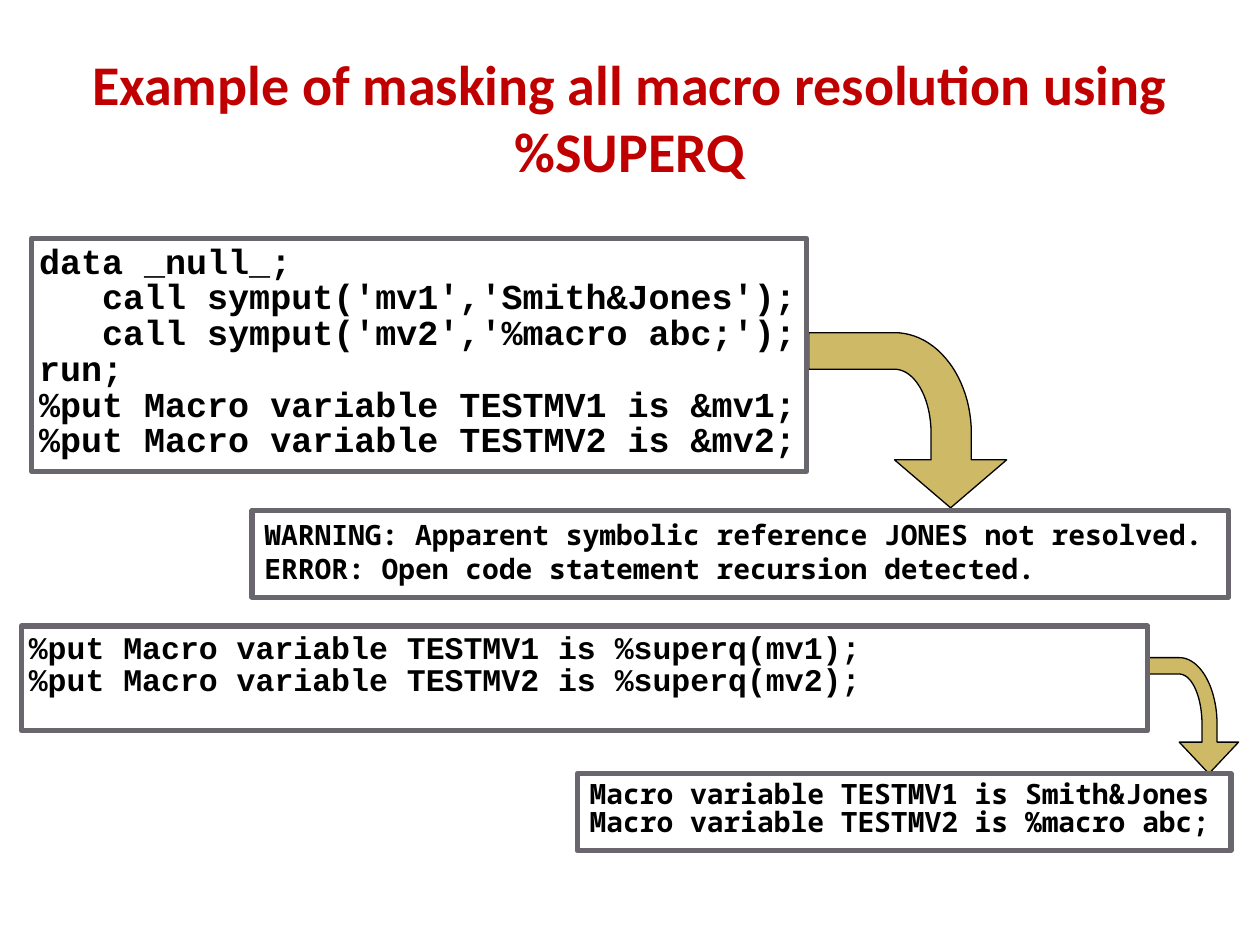
"""Build a slide on masking macro resolution with %SUPERQ."""
from dataclasses import dataclass
from math import cos, pi, sin

from pptx import Presentation
from pptx.dml.color import RGBColor
from pptx.enum.shapes import MSO_SHAPE
from pptx.enum.text import MSO_ANCHOR, PP_ALIGN
from pptx.util import Pt


@dataclass(frozen=True)
class Theme:
    title: RGBColor = RGBColor(0xC0, 0x00, 0x00)
    ink: RGBColor = RGBColor(0x00, 0x00, 0x00)
    paper: RGBColor = RGBColor(0xFF, 0xFF, 0xFF)
    border: RGBColor = RGBColor(0x69, 0x67, 0x6D)
    arrow: RGBColor = RGBColor(0xCE, 0xB9, 0x66)
    title_font: str = "Calibri"
    code_font: str = "Courier New"
    log_font: str = "Noto Sans Mono"
    title_size: int = 32
    code_size: int = 20
    short_code_size: int = 18
    log_size: int = 16


def quarter_arc(center_x, center_y, radius_x, radius_y, steps=24):
    angles = [pi / 2 * step / steps for step in range(steps + 1)]
    return [(center_x + radius_x * cos(angle), center_y - radius_y * sin(angle))
            for angle in angles]


theme = Theme()
deck = Presentation()
deck.slide_width, deck.slide_height = Pt(720), Pt(540)
slide = deck.slides.add_slide(deck.slide_layouts[5])

title = slide.shapes.title
title.left, title.top, title.width, title.height = Pt(36), Pt(21.6), Pt(648), Pt(90)
title.text_frame.vertical_anchor = MSO_ANCHOR.MIDDLE
title.text_frame.text = "Example of masking all macro resolution using %SUPERQ"
heading = title.text_frame.paragraphs[0]
heading.alignment = PP_ALIGN.CENTER
heading.font.name = theme.title_font
heading.font.size = Pt(theme.title_size)
heading.font.bold = True
heading.font.color.rgb = theme.title

arrows = [
    dict(tail=462.2, bend_x=511.2, inner=532.1, outer=555.1, right=575.3,
         top=190.1, under=211, bend_y=247.7, head=262.8, tip=290.2),
    dict(tail=648, bend_x=673.9, inner=686.9, outer=695.5, right=707.8,
         top=375.8, under=385.2, bend_y=414, head=424.1, tip=442.1),
]
for arrow in arrows:
    bend_x, bend_y = arrow["bend_x"], arrow["bend_y"]
    outer_arc = quarter_arc(bend_x, bend_y, arrow["outer"] - bend_x, bend_y - arrow["top"])
    inner_arc = quarter_arc(bend_x, bend_y, arrow["inner"] - bend_x, bend_y - arrow["under"])
    points = [
        ((bend_x + arrow["right"]) / 2, arrow["tip"]),
        (arrow["right"], arrow["head"]),
        (arrow["outer"], arrow["head"]),
        *outer_arc,
        (arrow["tail"], arrow["top"]),
        (arrow["tail"], arrow["under"]),
        *reversed(inner_arc),
        (arrow["inner"], arrow["head"]),
        (bend_x, arrow["head"]),
    ]
    corners = [(Pt(x), Pt(y)) for x, y in points]
    builder = slide.shapes.build_freeform(*corners[0])
    builder.add_line_segments(corners[1:], close=True)
    shape = builder.convert_to_shape()
    shape.shadow.inherit = False
    shape.fill.solid()
    shape.fill.fore_color.rgb = theme.arrow
    shape.line.color.rgb = theme.ink
    shape.line.width = Pt(0.75)

boxes = [
    ((18, 136.1, 442.8, 133.2), 4.3, 0.85, theme.code_font, theme.code_size, [
        "data _null_;",
        "   call symput('mv1','Smith&Jones');",
        "   call symput('mv2','%macro abc;');",
        "run;",
        "%put Macro variable TESTMV1 is &mv1;",
        "%put Macro variable TESTMV2 is &mv2;",
    ]),
    ((144, 291.6, 558, 49.7), 7.2, 1.0, theme.log_font, theme.log_size, [
        "WARNING: Apparent symbolic reference JONES not resolved.",
        "ERROR: Open code statement recursion detected.",
    ]),
    ((12.2, 357.8, 643.7, 59.8), 4.3, 0.85, theme.code_font, theme.short_code_size, [
        "%put Macro variable TESTMV1 is %superq(mv1);",
        "%put Macro variable TESTMV2 is %superq(mv2);",
    ]),
    ((329.8, 442.1, 373.7, 43.9), 7.2, 0.85, theme.log_font, theme.log_size, [
        "Macro variable TESTMV1 is Smith&Jones",
        "Macro variable TESTMV2 is %macro abc;",
    ]),
]
for bounds, side_margin, spacing, font_name, size, lines in boxes:
    box = slide.shapes.add_shape(MSO_SHAPE.RECTANGLE, *map(Pt, bounds))
    box.shadow.inherit = False
    box.fill.solid()
    box.fill.fore_color.rgb = theme.paper
    box.line.color.rgb = theme.border
    box.line.width = Pt(3)
    frame = box.text_frame
    frame.word_wrap = True
    frame.vertical_anchor = MSO_ANCHOR.TOP
    frame.margin_left = frame.margin_right = Pt(side_margin)
    frame.margin_top = frame.margin_bottom = Pt(4.3)
    frame.text = "\n".join(lines)
    for para in frame.paragraphs:
        para.alignment = PP_ALIGN.LEFT
        para.line_spacing = spacing
        para.font.name = font_name
        para.font.size = Pt(size)
        para.font.bold = True
        para.font.color.rgb = theme.ink

deck.save("out.pptx")
